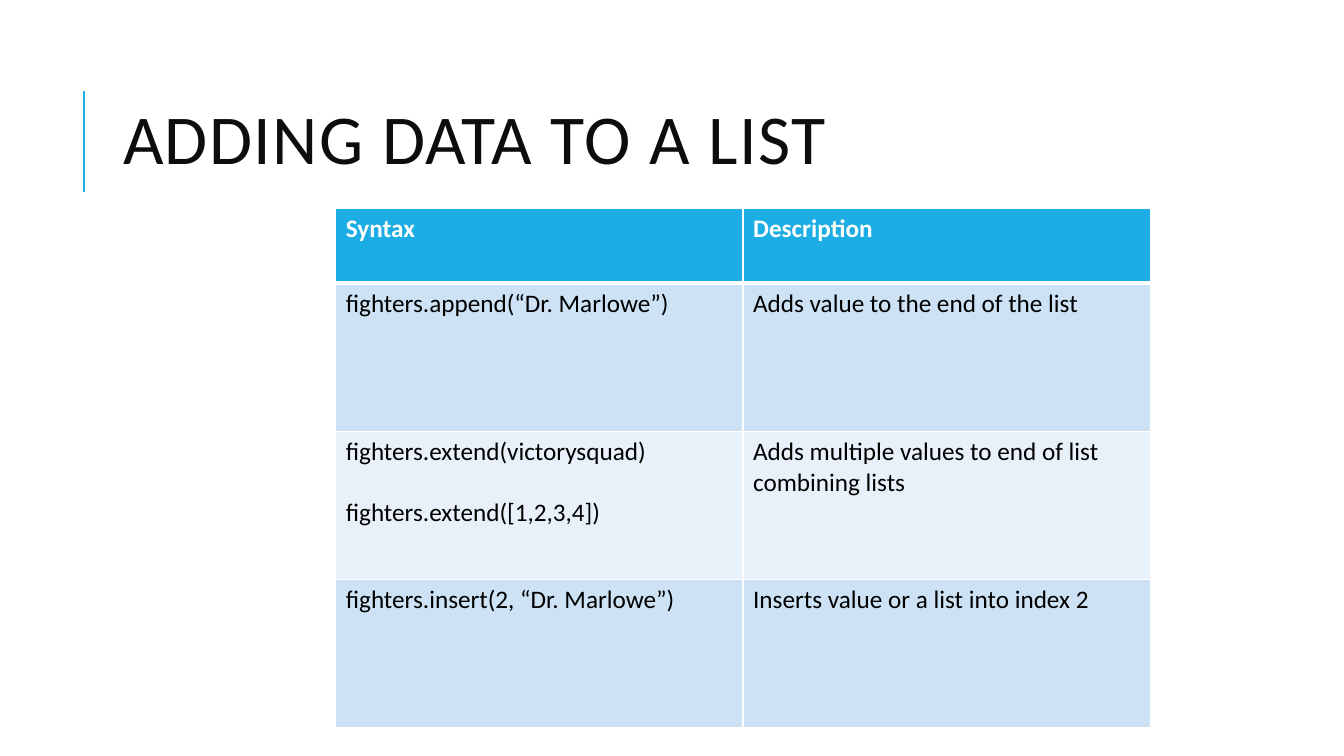
"""Build a slide on adding data to a list."""
import lxml.etree
import pptx
import pptx.dml.color
import pptx.enum.shapes
import pptx.enum.text
import pptx.oxml
import pptx.oxml.ns
import pptx.util

Inches = pptx.util.Inches
Pt = pptx.util.Pt
qn = pptx.oxml.ns.qn

FONT = "Calibri"
BLUE, WHITE, BLACK, INK = "1CADE4", "FFFFFF", "000000", "0D0D0D"
BANDS = ["CDE3F5", "E8F1FA"]
ROWS = [
    (["Syntax"], ["Description"]),
    (["fighters.append(“Dr. Marlowe”)"], ["Adds value to the end of the list"]),
    (["fighters.extend(victorysquad)", "fighters.extend([1,2,3,4])"],
     ["Adds multiple values to end of list combining lists"]),
    (["fighters.insert(2, “Dr. Marlowe”)"],
     ["Inserts value or a list into index 2"]),
]


def color(code):
    return pptx.dml.color.RGBColor.from_string(code)


def add_run(para, text, size, code, bold=False):
    run = para.add_run()
    run.text = text
    font = run.font
    font.name, font.size, font.bold = FONT, Pt(size), bold
    font.color.rgb = color(code)
    return run


def add_title(slide, text):
    title = slide.shapes.title
    title.left, title.top = Inches(1.12), Inches(0.61)
    title.width, title.height = Inches(10.63), Inches(1.64)
    frame = title.text_frame
    frame.word_wrap = True
    frame.auto_size = pptx.enum.text.MSO_AUTO_SIZE.NONE
    frame.vertical_anchor = pptx.enum.text.MSO_ANCHOR.MIDDLE
    para = frame.paragraphs[0]
    para.alignment = pptx.enum.text.PP_ALIGN.LEFT
    para.line_spacing = 0.8
    run = add_run(para, text, 50, INK)
    run.font._element.set("spc", "100")


def add_rule(slide, x, top, end):
    kind = pptx.enum.shapes.MSO_CONNECTOR.STRAIGHT
    rule = slide.shapes.add_connector(
        kind, Inches(x), Inches(end), Inches(x), Inches(top))
    rule.line.color.rgb = color(BLUE)
    rule.line.width = Pt(1.5)
    lxml.etree.SubElement(rule._element.spPr, qn("a:effectLst"))


def set_edges(cell, row):
    wide = {"T": 3 if row == 1 else 1, "B": 3 if row == 0 else 1}
    props = cell._tc.get_or_add_tcPr()
    for spot, side in enumerate("LRTB"):
        edge = pptx.oxml.parse_xml(
            f'<a:ln{side} {pptx.oxml.ns.nsdecls("a")} '
            f'w="{Pt(wide.get(side, 1))}"><a:solidFill>'
            f'<a:srgbClr val="{WHITE}"/></a:solidFill></a:ln{side}>')
        props.insert(spot, edge)


def fill_cell(cell, lines, row):
    head = row == 0
    cell.fill.solid()
    cell.fill.fore_color.rgb = color(BLUE if head else BANDS[(row - 1) % 2])
    set_edges(cell, row)
    frame = cell.text_frame
    for spot, text in enumerate(lines):
        para = frame.add_paragraph() if spot else frame.paragraphs[0]
        if spot:
            para.space_before = Pt(22)
        add_run(para, text, 18, WHITE if head else BLACK, head)


def add_grid(slide):
    table = slide.shapes.add_table(
        len(ROWS), 2, Inches(3.33), Inches(2.07),
        Inches(8.08), Inches(5.15)).table
    for row, cells in enumerate(ROWS):
        table.rows[row].height = Inches(1.47 if row else 0.74)
        for col, lines in enumerate(cells):
            fill_cell(table.cell(row, col), lines, row)


def main():
    deck = pptx.Presentation()
    deck.slide_width, deck.slide_height = Inches(13.33), Inches(7.5)
    slide = deck.slides.add_slide(deck.slide_layouts[5])
    add_rule(slide, 0.83, 0.9, 1.9)
    add_title(slide, "ADDING DATA TO A LIST")
    add_grid(slide)
    deck.save("out.pptx")


main()
